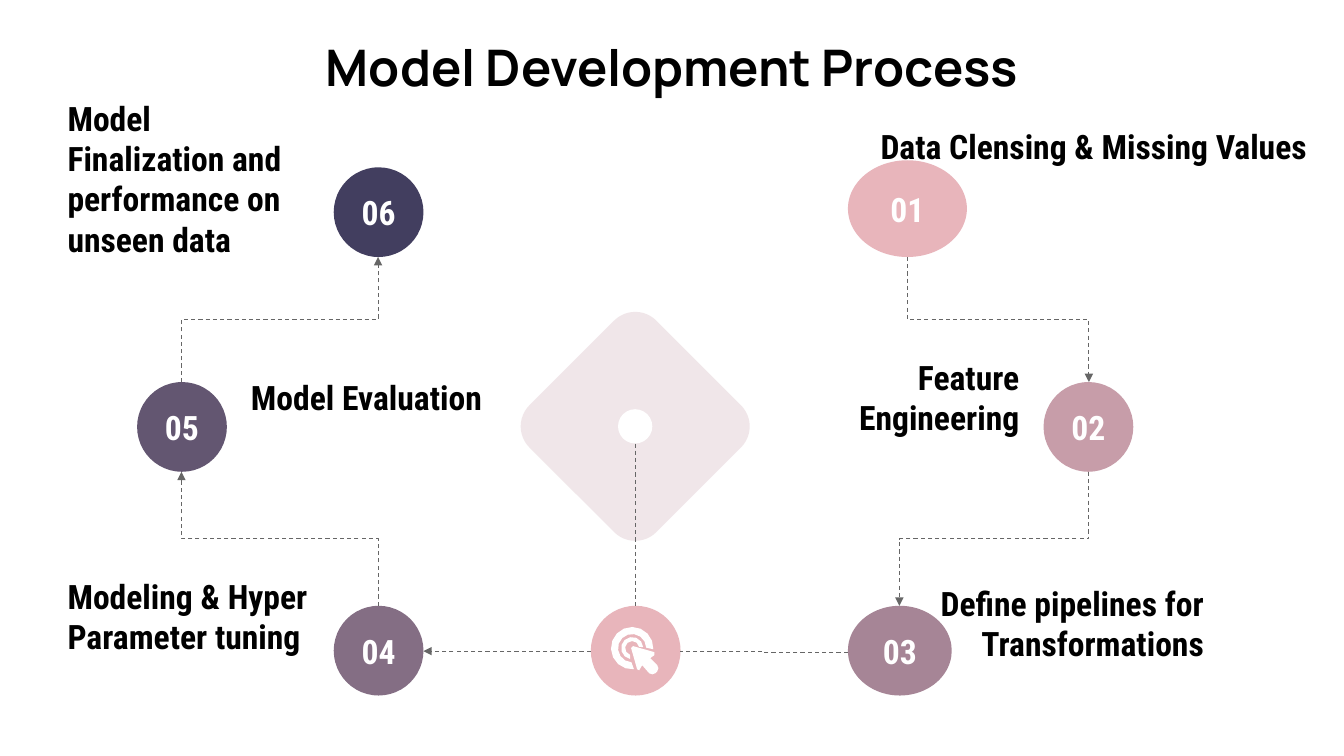
import math

from lxml import etree
from pptx import Presentation
from pptx import util as u
from pptx.dml.color import RGBColor
from pptx.enum import dml, shapes, text
from pptx.oxml.ns import qn

KIND = shapes.MSO_SHAPE
ALIGN = text.PP_ALIGN
LABEL_FONT = "Roboto Condensed"
STEPS = [
    ("01", (8.41, 1.59, 1.18, 0.96), "E8B5BB", "Data Clensing & Missing Values",
     (8.24, 1.23, 4.85, 0.43), ALIGN.RIGHT),
    ("02", (10.35, 3.79, 0.89, 0.89), "C79DA9", "Feature Engineering",
     (7.58, 3.74, 2.66, 0.4), ALIGN.RIGHT),
    ("03", (8.41, 6.01, 1.03, 0.89), "A68596", "Define pipelines for Transformations",
     (8.97, 5.98, 3.1, 0.4), ALIGN.RIGHT),
    ("06", (3.31, 1.66, 0.89, 0.89), "423E5F", "Model Finalization and performance on unseen data",
     (0.54, 1.57, 2.66, 0.4), ALIGN.LEFT),
    ("05", (1.36, 3.79, 0.89, 0.89), "635671", "Model Evaluation",
     (2.36, 3.74, 2.66, 0.4), ALIGN.LEFT),
    ("04", (3.31, 6.01, 0.89, 0.89), "846E84", "Modeling & Hyper Parameter tuning",
     (0.54, 5.91, 2.66, 0.4), ALIGN.LEFT),
]
TURNS = [
    ((9, 2.55), (10.8, 3.79)),
    ((10.8, 4.68), (8.92, 6.01)),
    ((3.75, 6.01), (1.8, 4.68)),
    ((1.8, 3.79), (3.75, 2.55)),
]


def color(value):
    """Turn a hex string into a colour."""
    return RGBColor.from_string(value)


def inches(*values):
    """Turn numbers into lengths in inches."""
    return [u.Inches(v) for v in values]


def paint(sp, fill):
    """Give a shape a plain fill with no line or shadow."""
    sp.shadow.inherit = False
    sp.fill.solid()
    sp.fill.fore_color.rgb = color(fill)
    sp.line.fill.background()
    return sp


def add_block(s, kind, box, fill):
    """Add a filled preset shape in its box."""
    return paint(s.shapes.add_shape(kind, *inches(*box)), fill)


def write(sp, words, align, fill, font=LABEL_FONT, size=24):
    """Write one bold paragraph in a shape."""
    tf = sp.text_frame
    frame = {"word_wrap": True, "vertical_anchor": text.MSO_ANCHOR.MIDDLE}
    frame.update({f"margin_{side}": u.Inches(0.13) for side in ("left", "right", "top", "bottom")})
    for name, value in frame.items():
        setattr(tf, name, value)
    p = tf.paragraphs[0]
    p.alignment = align
    r = p.add_run()
    r.text = words
    for name, value in {"name": font, "size": u.Pt(size), "bold": True}.items():
        setattr(r.font, name, value)
    r.font.color.rgb = color(fill)


def add_label(s, box, words, align, **style):
    """Add a black text box."""
    write(s.shapes.add_textbox(*inches(*box)), words, align, "000000", **style)


def add_step(s, number, circle, fill, words, box, align):
    """Add a step label and its numbered circle."""
    add_label(s, box, words, align)
    write(add_block(s, KIND.OVAL, circle, fill), number, ALIGN.CENTER, "FFFFFF")


def add_link(s, start, end, kind=shapes.MSO_CONNECTOR.ELBOW, arrow=True):
    """Add a dashed grey connector."""
    c = s.shapes.add_connector(kind, *inches(*start, *end))
    c.line.color.rgb = color("666666")
    c.line.width = u.Pt(0.75)
    c.line.dash_style = dml.MSO_LINE.DASH
    if arrow:
        etree.SubElement(c.line._get_or_add_ln(), qn("a:tailEnd"), type="triangle")
    etree.SubElement(c._element.spPr, qn("a:effectLst"))
    return c


def add_turn(s, start, end):
    """Add an elbow that leaves and arrives vertically."""
    (x1, y1), (x2, y2) = start, end
    dx, dy = x2 - x1, y2 - y1
    cx, cy = (x1 + x2) / 2, (y1 + y2) / 2
    half = abs(dy) / 2 * (-1 if dx * dy > 0 else 1)
    top, bottom = cy - abs(dx) / 2, cy + abs(dx) / 2
    c = add_link(s, (cx - half, top), (cx + half, bottom))
    c._element.spPr.xfrm.set("rot", str((90 if dx < 0 else 270) * 60000))


def add_outline(s, points, fill):
    """Add a filled polygon through points in inches."""
    corners = [inches(*point) for point in points]
    fb = s.shapes.build_freeform(*corners[0])
    fb.add_line_segments(corners[1:], close=True)
    paint(fb.convert_to_shape(), fill)


def arc(cx, cy, radius, first, last, count):
    """Return points along a circular arc, with angles in degrees."""
    angles = [math.radians(first + (last - first) * i / count) for i in range(count + 1)]
    return [(cx + radius * math.cos(a), cy + radius * math.sin(a)) for a in angles]


def add_target(s, x, y, size):
    """Add the target button with a pointer and two open rings."""
    add_block(s, KIND.OVAL, (x, y, size, size), "E8B5BB")
    pointer = [(0, 0.02), (0.02, 0), (0.23, 0.06), (0.23, 0.09), (0.19, 0.12),
               (0.26, 0.19), (0.27, 0.22), (0.26, 0.25), (0.24, 0.27), (0.21, 0.28),
               (0.18, 0.27), (0.11, 0.19), (0.08, 0.24), (0.06, 0.23)]
    add_outline(s, [(x + 0.4 + px, y + 0.4 + py) for px, py in pointer], "FFFFFF")
    cx, cy = x + 0.41, y + 0.42
    for outer, inner, first, last, count in ((0.11, 0.07, 100, 355, 8), (0.21, 0.14, 85, 363, 12)):
        ring = arc(cx, cy, outer, first, last, count)
        ring += arc(cx, cy, inner, last - 5, first + 8, count - 2)
        add_outline(s, ring, "FFFFFF")


def add_diamond(s, x, y, size):
    """Add the translucent rounded diamond."""
    sp = add_block(s, KIND.ROUNDED_RECTANGLE, (x, y, size, size), "C79DA9")
    sp.rotation = 45
    rgb = sp._element.spPr.find(qn("a:solidFill"))[0]
    etree.SubElement(rgb, qn("a:alpha"), val="25000")


def add_center(s, x, y, size):
    """Add the central dot, the target button below and the stem between."""
    mid = x + size / 2
    add_block(s, KIND.OVAL, (mid - 0.17, y + 0.72, 0.34, 0.34), "FFFFFF")
    add_target(s, mid - 0.44, y + 2.67, 0.89)
    add_link(s, (mid, y + 1.06), (mid, y + 2.67), shapes.MSO_CONNECTOR.STRAIGHT, False)


def build_slide(s):
    """Lay out the whole process slide."""
    diamond = (5.41, 3.34, 1.78)
    add_diamond(s, *diamond)
    add_label(s, (1.1, 0.3, 11.13, 0.71), "Model Development Process", ALIGN.CENTER,
              font="Manrope", size=36)
    for step in STEPS:
        add_step(s, *step)
    add_center(s, *diamond)
    for start, end in TURNS:
        add_turn(s, start, end)
    add_link(s, (8.41, 6.47), (6.75, 6.46), arrow=False)
    add_link(s, (5.86, 6.46), (4.2, 6.46))


def main():
    """Build and save the presentation."""
    prs = Presentation()
    prs.slide_width, prs.slide_height = inches(13.33, 7.5)
    build_slide(prs.slides.add_slide(prs.slide_layouts[6]))
    prs.save("out.pptx")


if __name__ == "__main__":
    main()
